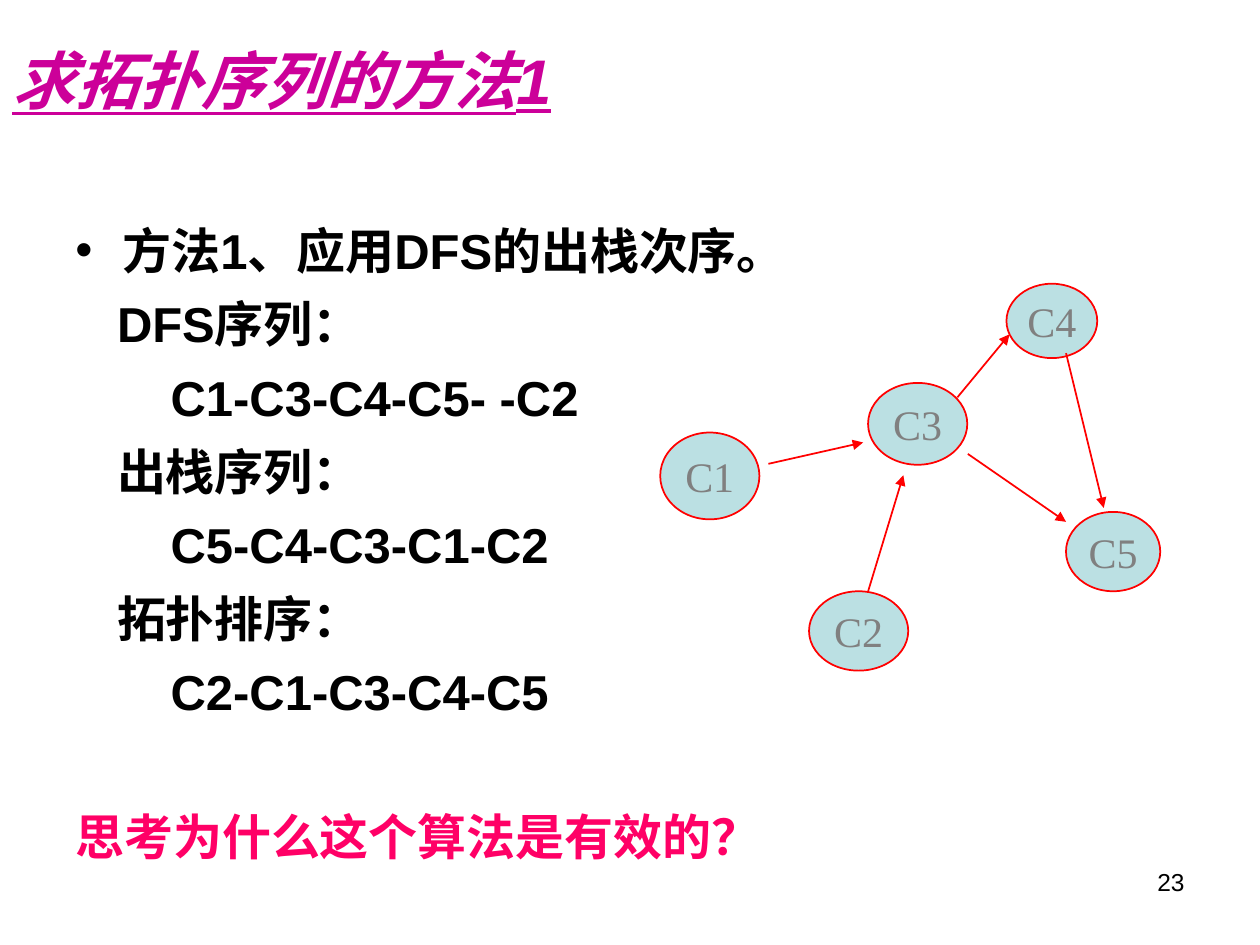
from dataclasses import dataclass

from lxml import etree
from pptx import Presentation
from pptx.dml.color import RGBColor
from pptx.enum.shapes import MSO_CONNECTOR, MSO_SHAPE
from pptx.enum.text import MSO_ANCHOR, PP_ALIGN
from pptx.oxml.ns import qn
from pptx.util import Cm, Pt

ELLIPSE = MSO_SHAPE.OVAL
STRAIGHT = MSO_CONNECTOR.STRAIGHT
MIDDLE, TOP = MSO_ANCHOR.MIDDLE, MSO_ANCHOR.TOP
LEFT, CENTER, RIGHT = PP_ALIGN.LEFT, PP_ALIGN.CENTER, PP_ALIGN.RIGHT


@dataclass(frozen=True)
class Theme:
    sans: str = "Arial"
    serif: str = "Times New Roman"
    title: RGBColor = RGBColor(0xCC, 0x00, 0x99)
    text: RGBColor = RGBColor(0x00, 0x00, 0x00)
    question: RGBColor = RGBColor(0xFF, 0x00, 0x66)
    node_fill: RGBColor = RGBColor(0xBB, 0xE0, 0xE3)
    node_text: RGBColor = RGBColor(0x80, 0x80, 0x80)
    edge: RGBColor = RGBColor(0xFF, 0x00, 0x00)
    title_size: Pt = Pt(36)
    body_size: Pt = Pt(28)
    node_size: Pt = Pt(24)
    number_size: Pt = Pt(14)
    edge_width: Pt = Pt(1)


THEME = Theme()

# Body lines: text, left indent (cm), space before (pt), colour
LABEL, SEQUENCE, GAP = 0.84, 1.92, 8.4
BODY_LINES = [
    ("方法1、应用DFS的出栈次序。", 0.95, 0, THEME.text),
    ("DFS序列：", LABEL, GAP, THEME.text),
    ("C1-C3-C4-C5- -C2", SEQUENCE, GAP, THEME.text),
    ("出栈序列：", LABEL, GAP, THEME.text),
    ("C5-C4-C3-C1-C2", SEQUENCE, GAP, THEME.text),
    ("拓扑排序：", LABEL, GAP, THEME.text),
    ("C2-C1-C3-C4-C5", SEQUENCE, GAP, THEME.text),
    ("思考为什么这个算法是有效的？", 0, 49, THEME.question),
]

# Graph nodes: left, top, width, height in cm within the graph box
NODES = {
    "C1": (0, 3, 2, 1.75),
    "C3": (4.19, 2, 2, 1.65),
    "C2": (3, 6.2, 2, 1.6),
    "C5": (8.18, 4.6, 1.9, 1.6),
    "C4": (6.98, 0, 1.83, 1.5),
}

# Directed edges: start x, y and end x, y in cm within the graph box
EDGES = [
    (5.99, 2.29, 7.04, 1.02),  # C3 to C4
    (2.18, 3.63, 4.09, 3.2),   # C1 to C3
    (6.2, 3.43, 8.18, 4.8),    # C3 to C5
    (4.19, 6.2, 4.9, 3.86),    # C2 to C3
    (8.18, 1.4, 8.94, 4.52),   # C4 to C5
]


def style(paragraph, name, size, color, bold=False, align=LEFT):
    paragraph.alignment = align
    font = paragraph.font
    font.name, font.size, font.bold = name, size, bold
    font.color.rgb = color


def add_text_frame(slide, box, anchor=TOP):
    frame = slide.shapes.add_textbox(*map(Cm, box)).text_frame
    frame.word_wrap = True
    frame.vertical_anchor = anchor
    return frame


def add_title(slide, box):
    paragraph = add_text_frame(slide, box, MIDDLE).paragraphs[0]
    paragraph.text = "求拓扑序列的方法1"
    style(paragraph, THEME.sans, THEME.title_size, THEME.title, bold=True)
    paragraph.font.italic = True
    paragraph.font.underline = True


def add_bullet(paragraph, indent):
    properties = paragraph._p.get_or_add_pPr()
    properties.set("indent", str(-Cm(indent)))
    etree.SubElement(properties, qn("a:buFont"), typeface=THEME.sans)
    etree.SubElement(properties, qn("a:buChar"), char="•")


def add_body(slide, box):
    frame = add_text_frame(slide, box)
    for index, (text, indent, space, color) in enumerate(BODY_LINES):
        paragraph = frame.add_paragraph() if index else frame.paragraphs[0]
        paragraph.text = text
        paragraph._p.get_or_add_pPr().set("marL", str(Cm(indent)))
        if index == 0:
            add_bullet(paragraph, indent)
        paragraph.space_before = Pt(space)
        style(paragraph, THEME.sans, THEME.body_size, color, bold=True)


def add_node(slide, name, box):
    node = slide.shapes.add_shape(ELLIPSE, *map(Cm, box))
    node.shadow.inherit = False
    node.fill.solid()
    node.fill.fore_color.rgb = THEME.node_fill
    node.line.color.rgb = THEME.edge
    node.line.width = THEME.edge_width
    frame = node.text_frame
    frame.word_wrap = False
    frame.vertical_anchor = MIDDLE
    paragraph = frame.paragraphs[0]
    paragraph.text = name
    style(paragraph, THEME.serif, THEME.node_size, THEME.node_text, align=CENTER)


def add_edge(slide, points):
    edge = slide.shapes.add_connector(STRAIGHT, *map(Cm, points))
    edge.line.color.rgb = THEME.edge
    edge.line.width = THEME.edge_width
    etree.SubElement(edge.line._get_or_add_ln(), qn("a:tailEnd"), type="triangle")
    etree.SubElement(edge._element.spPr, qn("a:effectLst"))


def add_graph(slide, left, top):
    for name, (x, y, width, height) in NODES.items():
        add_node(slide, name, (left + x, top + y, width, height))
    for x1, y1, x2, y2 in EDGES:
        add_edge(slide, (left + x1, top + y1, left + x2, top + y2))


def add_slide_number(slide, box):
    paragraph = add_text_frame(slide, box).paragraphs[0]
    paragraph.text = "23"
    style(paragraph, THEME.sans, THEME.number_size, THEME.text, align=RIGHT)


def main():
    presentation = Presentation()
    presentation.slide_width, presentation.slide_height = Cm(25.4), Cm(19.05)
    slide = presentation.slides.add_slide(presentation.slide_layouts[6])
    add_title(slide, (0, 0, 25.4, 3.18))
    add_body(slide, (1.27, 4.32, 22.86, 13.21))
    add_graph(slide, 13.31, 5.72)
    add_slide_number(slide, (18.21, 17.35, 5.92, 1.32))
    presentation.save("out.pptx")


if __name__ == "__main__":
    main()
